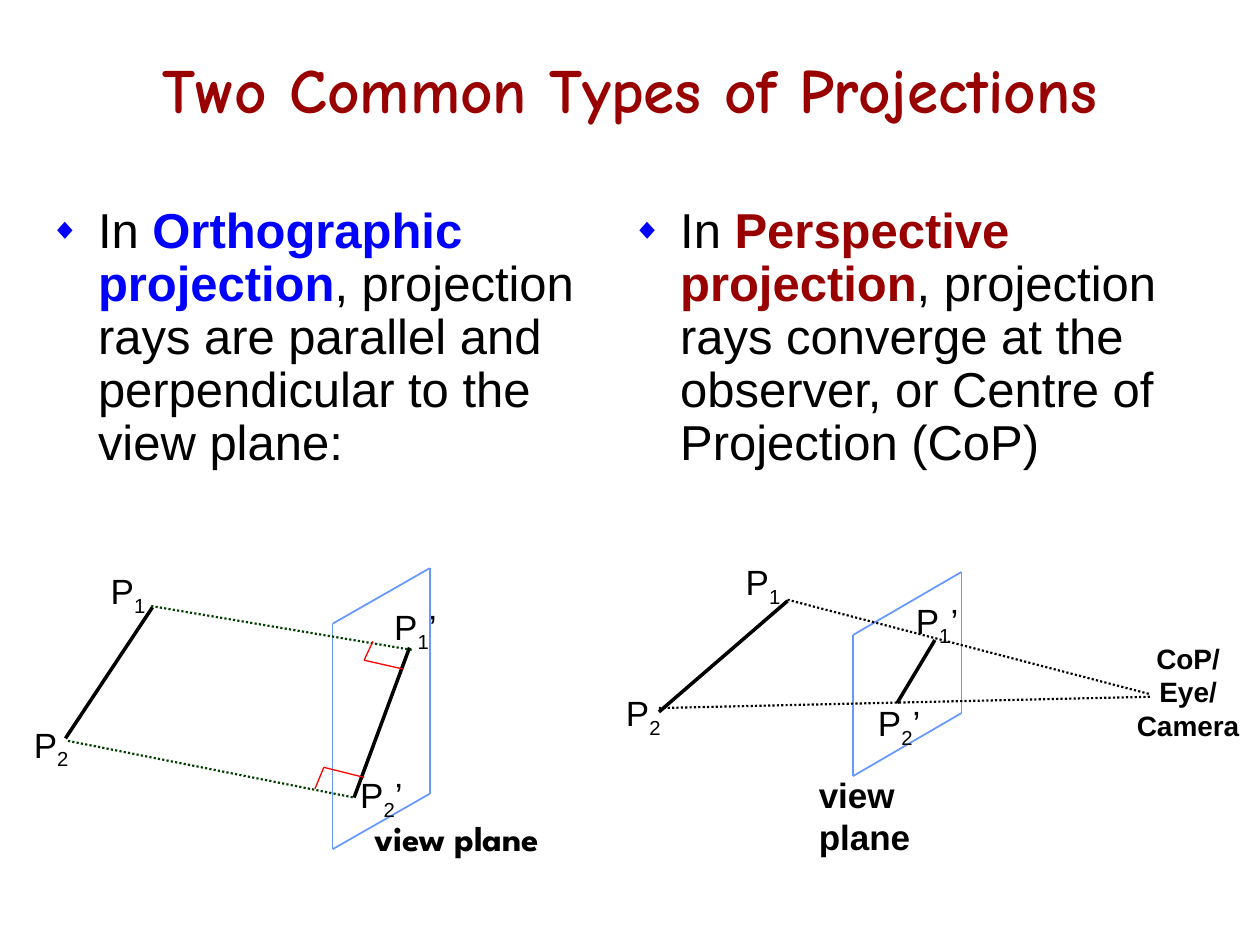
from lxml import etree
from pptx import Presentation
from pptx.dml.color import RGBColor
from pptx.enum.dml import MSO_LINE
from pptx.enum.shapes import MSO_CONNECTOR
from pptx.enum.text import MSO_ANCHOR, PP_ALIGN
from pptx.oxml.ns import qn
from pptx.util import Pt

PX = 9144  # 100 px to the inch
STRAIGHT = MSO_CONNECTOR.STRAIGHT
DOTTED = MSO_LINE.ROUND_DOT
MIDDLE = MSO_ANCHOR.MIDDLE
CENTER = PP_ALIGN.CENTER

BLACK, BLUE, MAROON = "000000", "0000FF", "990000"
PLANE, GREEN, RED = "6699FF", "003E00", "FF0000"


def emu(px):
    return px * PX


def rgb(value):
    return RGBColor.from_string(value)


def format_run(r, size, color=BLACK, bold=False, name="Arial"):
    r.font.name = name
    r.font.size = Pt(size)
    r.font.bold = bold
    r.font.color.rgb = rgb(color)


def add_text(s, x, y, w, h):
    tf = s.shapes.add_textbox(emu(x), emu(y), emu(w), emu(h)).text_frame
    tf.word_wrap = True
    return tf


def add_label(s, x, y, w, h, lines, size, name="Arial", align=None):
    tf = add_text(s, x, y, w, h)
    tf.text = "\n".join(lines)
    for p in tf.paragraphs:
        p.alignment = align
        format_run(p.runs[0], size, bold=True, name=name)


def add_point(s, x, y, number, prime=""):
    """Point name with a subscript number and an optional prime."""
    p = add_text(s, x, y, 60, 48).paragraphs[0]
    for text in filter(None, ("P", number, prime)):
        r = p.add_run()
        r.text = text
        format_run(r, 20)
        if text == number:
            r.font._element.set("baseline", "-25000")


def add_lines(s, x, y, points, color, width, dash=None):
    """Connect consecutive points, given relative to (x, y)."""
    for (x1, y1), (x2, y2) in zip(points, points[1:]):
        line = s.shapes.add_connector(STRAIGHT, emu(x + x1), emu(y + y1),
                                      emu(x + x2), emu(y + y2))
        line.line.color.rgb = rgb(color)
        line.line.width = Pt(width)
        if dash:
            line.line.dash_style = dash
        etree.SubElement(line._element.spPr, qn("a:effectLst"))


def add_bullet(p, char, color, percent):
    pPr = p._p.get_or_add_pPr()
    pPr.set("marL", str(emu(38)))
    pPr.set("indent", str(emu(-38)))
    clr = etree.SubElement(pPr, qn("a:buClr"))
    etree.SubElement(clr, qn("a:srgbClr"), val=color)
    etree.SubElement(pPr, qn("a:buSzPct"), val=str(percent * 1000))
    etree.SubElement(pPr, qn("a:buFont"), typeface="Arial")
    etree.SubElement(pPr, qn("a:buChar"), char=char)


def title(s, x, y, w, h):
    tf = add_text(s, x, y, w, h)
    tf.vertical_anchor = MIDDLE
    tf.text = "Two Common Types of Projections"
    p = tf.paragraphs[0]
    p.alignment = CENTER
    format_run(p.runs[0], 36, MAROON, True, "Comic Neue")


def definition(s, x, y, w, h, term, color, rest):
    p = add_text(s, x, y, w, h).paragraphs[0]
    p.line_spacing = 0.9
    add_bullet(p, "◆", BLUE, 60)
    for text, tint, bold in (("In ", BLACK, False), (term, color, True),
                             (rest, BLACK, False)):
        r = p.add_run()
        r.text = text
        format_run(r, 28, tint, bold)


def orthographic(s, x, y):
    # View plane and the object with its image
    add_lines(s, x, y, [(247, 55), (324, 11), (324, 190), (247, 234), (247, 55)],
              PLANE, 1)
    add_lines(s, x, y, [(104, 42), (35, 146)], BLACK, 2)
    add_lines(s, x, y, [(308, 74), (264, 193)], BLACK, 2)
    # Parallel rays
    add_lines(s, x, y, [(103, 41), (311, 76)], GREEN, 1.25, DOTTED)
    add_lines(s, x, y, [(37, 148), (264, 193)], GREEN, 1.25, DOTTED)
    # Right-angle marks
    add_lines(s, x, y, [(279, 69), (272, 84), (303, 91)], RED, 0.75)
    add_lines(s, x, y, [(233, 186), (240, 169), (272, 177)], RED, 0.75)
    # Labels
    add_point(s, x + 61, y + 7, "1")
    add_point(s, x, y + 129, "2")
    add_point(s, x + 286, y + 36, "1", "’")
    add_point(s, x + 259, y + 169, "2", "’")
    add_label(s, x + 270, y + 203, 175, 43, ["view plane"], 20, "League Spartan")


def perspective(s, x, y):
    # View plane and the object with its image
    add_lines(s, x, y, [(190, 64), (276, 14), (276, 126), (190, 176), (190, 64)],
              PLANE, 1)
    add_lines(s, x, y, [(138, 37), (36, 125)], BLACK, 2)
    add_lines(s, x, y, [(255, 68), (225, 118)], BLACK, 2)
    # Rays converging at the centre of projection
    add_lines(s, x, y, [(138, 36), (426, 111)], BLACK, 1.25, DOTTED)
    add_lines(s, x, y, [(36, 122), (426, 113)], BLACK, 1.25, DOTTED)
    # Labels
    add_point(s, x + 95, y, "1")
    add_point(s, x, y + 104, "2")
    add_point(s, x + 230, y + 31, "1", "’")
    add_point(s, x + 200, y + 112, "2", "’")
    add_label(s, x + 153, y + 169, 110, 76, ["view plane"], 20)
    add_label(s, x + 403, y + 64, 106, 90, ["CoP/", "Eye/", "Camera"], 16,
              align=CENTER)


def main():
    prs = Presentation()
    prs.slide_width, prs.slide_height = emu(1000), emu(750)
    s = prs.slides.add_slide(prs.slide_layouts[6])
    title(s, 75, 25, 850, 90)
    definition(s, 30, 159, 483, 271, "Orthographic projection", BLUE,
               ", projection rays are parallel and perpendicular to the view plane:")
    definition(s, 492, 159, 508, 256, "Perspective projection", MAROON,
               ", projection rays converge at the observer, or Centre of "
               "Projection (CoP)")
    orthographic(s, 17, 440)
    perspective(s, 487, 440)
    prs.save("out.pptx")


if __name__ == "__main__":
    main()
